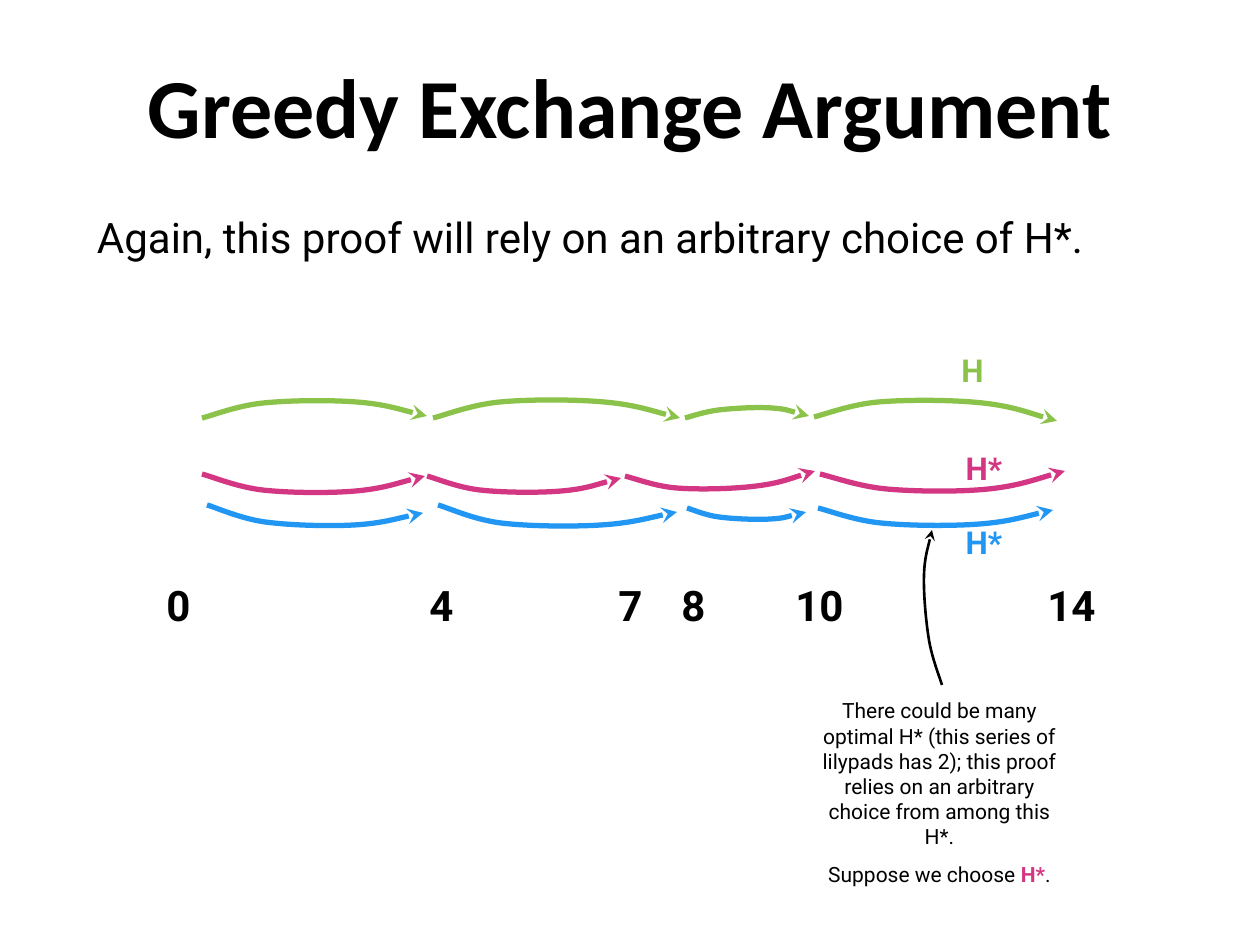
from dataclasses import dataclass
from math import cos, radians, sin
from typing import NamedTuple

from lxml.etree import SubElement as Sub
from pptx import Presentation as Deck
from pptx.dml.color import RGBColor as Rgb
from pptx.enum.text import MSO_ANCHOR as Anchor, PP_ALIGN as Align
from pptx.oxml.ns import qn
from pptx.util import Emu, Pt


@dataclass(frozen=True)
class Theme:
    black: str = "000000"
    green: str = "8BC34A"
    pink: str = "D33682"
    blue: str = "2196F3"
    head: str = "Calibri"
    body: str = "Roboto"
    title: int = 48
    lead: int = 24
    tag: int = 18
    note: int = 12
    bold: float = 3
    thin: float = 1.5


class Box(NamedTuple):
    x: int
    y: int
    w: int
    h: int


class Knot(NamedTuple):
    x: float
    y: float


class Tag(NamedTuple):
    text: str
    box: Box
    color: str


class Mark(NamedTuple):
    text: str
    mid: int


@dataclass(frozen=True)
class Trail:
    color: str
    width: float
    turn: float
    hops: tuple[tuple[int, ...], ...]


T = Theme()
SCALE = 914400 / 126
INSET = 13

TRAILS = (
    Trail(T.green, T.bold, 33.8, (
        (202, 418, 263, 403, 357, 402, 427, 416),
        (433, 418, 500, 402, 604, 402, 680, 418),
        (685, 418, 719, 410, 771, 408, 809, 416),
        (814, 417, 879, 402, 982, 403, 1057, 421),
    )),
    Trail(T.pink, T.bold, 145.5, (
        (202, 474, 263, 490, 355, 491, 425, 476),
        (427, 476, 480, 490, 561, 491, 621, 478),
        (625, 476, 677, 488, 756, 486, 815, 471),
        (820, 474, 887, 489, 988, 489, 1065, 471),
    )),
    Trail(T.blue, T.bold, 148.5, (
        (207, 505, 265, 522, 354, 525, 423, 513),
        (438, 505, 501, 523, 601, 525, 677, 512),
        (687, 508, 719, 517, 770, 519, 806, 512),
        (818, 508, 881, 523, 979, 524, 1053, 510),
    )),
    Trail(T.black, T.thin, 309.5, (
        (942, 685, 929, 640, 924, 576, 932, 530),
    )),
)

MARKS = (Mark("0", 178), Mark("4", 441), Mark("7", 630),
         Mark("8", 693), Mark("10", 819), Mark("14", 1071))

TAGS = (
    Tag("H", Box(942, 335, 61, 70), T.green),
    Tag("H*", Box(946, 433, 76, 70), T.pink),
    Tag("H*", Box(946, 507, 76, 70), T.blue),
)


def px(n: float) -> Emu:
    return Emu(round(n * SCALE))


def add_run(para, text: str, *, size: float, color: str = T.black,
            font: str = T.body, bold: bool = False) -> None:
    run = para.add_run()
    run.text = text
    run.font.size = Pt(size)
    run.font.name = font
    run.font.bold = bold
    run.font.color.rgb = Rgb.from_string(color)


def add_text(slide, box: Box, text: str, *, align=Align.CENTER,
             anchor=Anchor.TOP, **style):
    frame = slide.shapes.add_textbox(*map(px, box)).text_frame
    frame.word_wrap = True
    frame.vertical_anchor = anchor
    frame.margin_left = frame.margin_right = px(INSET)
    frame.margin_top = frame.margin_bottom = px(INSET)
    para = frame.paragraphs[0]
    para.alignment = align
    add_run(para, text, **style)
    return frame


def bend(knots: list[Knot]) -> list[Knot]:
    ends = [knots[0], *knots, knots[-1]]
    out = []
    for a, b, c, d in zip(ends, ends[1:], ends[2:], ends[3:]):
        out += [Knot(b.x + (c.x - a.x) / 6, b.y + (c.y - a.y) / 6),
                Knot(c.x - (d.x - b.x) / 6, c.y - (d.y - b.y) / 6), c]
    return out


def spin(knot: Knot, turn: float) -> Knot:
    c, s = cos(radians(turn)), sin(radians(turn))
    return Knot(knot.x * c - knot.y * s, knot.x * s + knot.y * c)


def add_hop(slide, hop: tuple[int, ...], trail: Trail) -> None:
    knots = [Knot(x, y) for x, y in zip(hop[::2], hop[1::2])]
    flat = [spin(k, -trail.turn) for k in knots]
    pen = slide.shapes.build_freeform(px(flat[0].x), px(flat[0].y))
    pen.add_line_segments([(px(k.x), px(k.y)) for k in bend(flat)],
                          close=False)
    shape = pen.convert_to_shape()
    mid = spin(Knot(shape.left + shape.width / 2,
                    shape.top + shape.height / 2), trail.turn)
    shape.left = Emu(round(mid.x - shape.width / 2))
    shape.top = Emu(round(mid.y - shape.height / 2))
    shape.rotation = trail.turn
    shape.shadow.inherit = False
    shape.fill.background()
    shape.line.color.rgb = Rgb.from_string(trail.color)
    shape.line.width = Pt(trail.width)
    Sub(shape.line._get_or_add_ln(), qn("a:tailEnd"), type="stealth")

    route = shape._element.find(".//" + qn("a:path"))
    legs = route.findall(qn("a:lnTo"))
    for i in range(0, len(legs), 3):
        curve = Sub(route, qn("a:cubicBezTo"))
        for leg in legs[i:i + 3]:
            curve.append(leg[0])
            route.remove(leg)


def add_note(slide) -> None:
    frame = add_text(
        slide, Box(803, 685, 273, 183),
        "There could be many optimal H* (this series of lilypads has 2); "
        "this proof relies on an arbitrary choice from among this H*.",
        size=T.note)
    para = frame.add_paragraph()
    para.alignment = Align.CENTER
    para.space_before = Pt(7)
    add_run(para, "Suppose we choose ", size=T.note)
    add_run(para, "H*", size=T.note, color=T.pink, bold=True)
    add_run(para, ".", size=T.note)


def main() -> None:
    deck = Deck()
    deck.slide_width, deck.slide_height = px(1260), px(945)
    slide = deck.slides.add_slide(deck.slide_layouts[6])

    add_text(slide, Box(0, 42, 1260, 157), "Greedy Exchange Argument",
             size=T.title, font=T.head, bold=True)
    for mark in MARKS:
        wide = 51 + 20 * len(mark.text)
        add_text(slide, Box(mark.mid - wide // 2, 570, wide, 70), mark.text,
                 anchor=Anchor.MIDDLE, size=T.lead, bold=True)
    for trail in TRAILS:
        for hop in trail.hops:
            add_hop(slide, hop, trail)
    for tag in TAGS:
        add_text(slide, tag.box, tag.text, anchor=Anchor.MIDDLE,
                 size=T.tag, color=tag.color, bold=True)
    add_note(slide)
    add_text(slide, Box(84, 199, 1092, 746),
             "Again, this proof will rely on an arbitrary choice of H*.",
             align=Align.LEFT, size=T.lead)
    deck.save("out.pptx")


if __name__ == "__main__":
    main()
